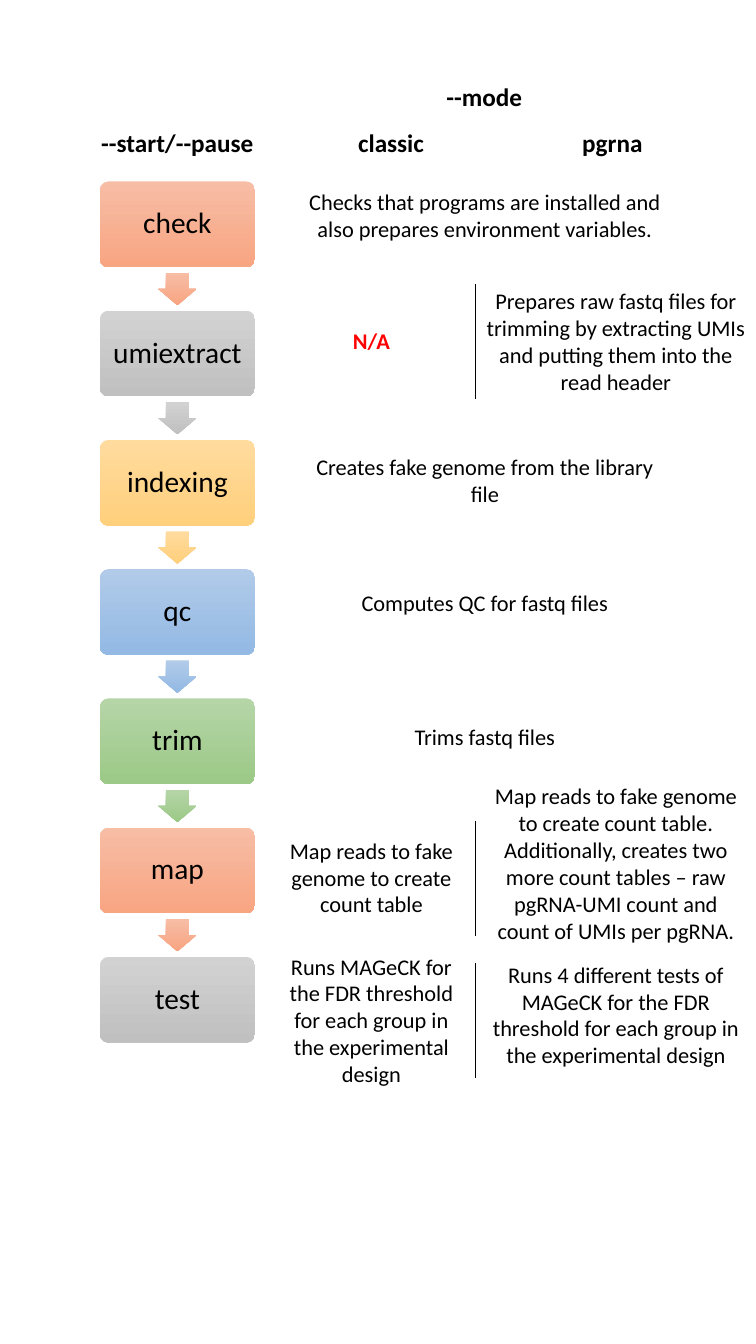
from lxml import etree
from pptx import Presentation
from pptx.dml.color import RGBColor
from pptx.enum.shapes import MSO_CONNECTOR, MSO_SHAPE
from pptx.enum.text import MSO_ANCHOR, MSO_AUTO_SIZE, PP_ALIGN
from pptx.oxml.ns import qn
from pptx.util import Inches, Pt

ROUNDED, DOWN_ARROW = MSO_SHAPE.ROUNDED_RECTANGLE, MSO_SHAPE.DOWN_ARROW
STRAIGHT = MSO_CONNECTOR.STRAIGHT
MIDDLE, CENTER = MSO_ANCHOR.MIDDLE, PP_ALIGN.CENTER
GROW = MSO_AUTO_SIZE.SHAPE_TO_FIT_TEXT

FONT = "Calibri"
COLORS = {
    "text": "000000", "missing": "FF0000",
    "coral top": "F7BDA5", "coral bottom": "F8A582",
    "gray top": "D2D2D2", "gray bottom": "C0C0C0",
    "yellow top": "FFDB9E", "yellow bottom": "FFD07C",
    "blue top": "B1CBE9", "blue bottom": "93B9E4",
    "green top": "B5D5A7", "green bottom": "9CC987",
}
STEPS = [("check", "coral"), ("umiextract", "gray"), ("indexing", "yellow"),
         ("qc", "blue"), ("trim", "green"), ("map", "coral"), ("test", "gray")]
STEP_HEIGHT = 0.85
ARROW_WIDTH, ARROW_HEIGHT = 0.38, 0.32

# text, left, top, width
HEADINGS = [("--mode", 4.33, 0.76, 0.95), ("--start/--pause", 0.89, 1.21, 1.74),
            ("classic", 3.45, 1.21, 0.86), ("pgrna", 5.67, 1.21, 0.81)]

# column: left, width
COLUMNS = {"both": (2.95, 3.72), "classic": (2.65, 2.07), "pgrna": (4.72, 2.78)}
# column, top, height, text
DESCRIPTIONS = [
    ("both", 1.82, 0.64, "Checks that programs are installed and also prepares "
                         "environment variables."),
    ("pgrna", 2.8, 1.18, "Prepares raw fastq files for trimming by extracting UMIs "
                         "and putting them into the read header"),
    ("both", 4.45, 0.64, "Creates fake genome from the library file"),
    ("both", 5.79, 0.37, "Computes QC for fastq files"),
    ("both", 7.12, 0.37, "Trims fastq files"),
    ("classic", 8.25, 0.91, "Map reads to fake genome to create count table"),
    ("pgrna", 7.71, 1.72, "Map reads to fake genome to create count table. "
                          "Additionally, creates two more count tables – raw "
                          "pgRNA-UMI count and count of UMIs per pgRNA."),
    ("classic", 9.4, 1.45, "Runs MAGeCK for the FDR threshold for each group in the "
                           "experimental design"),
    ("pgrna", 9.48, 1.18, "Runs 4 different tests of MAGeCK for the FDR threshold "
                          "for each group in the experimental design"),
]
DIVIDER_TOPS = [2.82, 8.14, 9.55]
DIVIDER_HEIGHT = 1.14


def color(name):
    return RGBColor.from_string(COLORS[name])


def write(shape, text, size, bold=False, ink="text"):
    paragraph = shape.text_frame.paragraphs[0]
    paragraph.alignment = CENTER
    run = paragraph.add_run()
    run.text = text
    for name, value in {"name": FONT, "size": Pt(size), "bold": bold}.items():
        setattr(run.font, name, value)
    run.font.color.rgb = color(ink)


def add_text(slide, text, box, size=16, wrap=True, **style):
    shape = slide.shapes.add_textbox(*map(Inches, box))
    shape.text_frame.word_wrap = wrap
    shape.text_frame.auto_size = GROW
    write(shape, text, size, **style)


def add_gradient_shape(slide, kind, box, hue, adjustments):
    shape = slide.shapes.add_shape(kind, *map(Inches, box))
    shape.shadow.inherit = False
    shape.line.fill.background()
    shape.fill.gradient()
    shape.fill.gradient_angle = 270
    for stop, end in zip(shape.fill.gradient_stops, ("top", "bottom")):
        stop.color.rgb = color(f"{hue} {end}")
    for index, value in enumerate(adjustments):
        shape.adjustments[index] = value
    return shape


def add_flow(slide, left, top, width, height):
    """Stack the pipeline steps evenly, with an arrow in each gap."""
    pitch = (height - STEP_HEIGHT) / (len(STEPS) - 1)
    gap = pitch - STEP_HEIGHT
    for index, (name, hue) in enumerate(STEPS):
        step_top = top + index * pitch
        step = add_gradient_shape(slide, ROUNDED, (left, step_top, width, STEP_HEIGHT),
                                  hue, [0.1])
        frame = step.text_frame
        for side in ("left", "top", "right", "bottom"):
            setattr(frame, f"margin_{side}", Inches(0.09))
        frame.word_wrap = True
        frame.vertical_anchor = MIDDLE
        frame.paragraphs[0].line_spacing = 0.9
        write(step, name, 21)
        if index < len(STEPS) - 1:
            arrow_left = left + (width - ARROW_WIDTH) / 2
            arrow_top = step_top + STEP_HEIGHT + (gap - ARROW_HEIGHT) / 2
            add_gradient_shape(slide, DOWN_ARROW,
                               (arrow_left, arrow_top, ARROW_WIDTH, ARROW_HEIGHT),
                               hue, [0.6, 0.5])


def add_divider(slide, left, top, height):
    ends = (left, top, left, top + height)
    line = slide.shapes.add_connector(STRAIGHT, *map(Inches, ends))
    line.line.color.rgb = color("text")
    line.line.width = Pt(0.5)
    etree.SubElement(line._element.spPr, qn("a:effectLst"))


def add_headings(slide):
    for text, left, top, width in HEADINGS:
        add_text(slide, text, (left, top, width, 0.4), size=18, wrap=False, bold=True)


def add_descriptions(slide):
    for column, top, height, text in DESCRIPTIONS:
        left, width = COLUMNS[column]
        add_text(slide, text, (left, top, width, height))
    left, width = COLUMNS["classic"]
    add_text(slide, "N/A", (left, 3.2, width, 0.37), bold=True, ink="missing")
    for top in DIVIDER_TOPS:
        add_divider(slide, COLUMNS["pgrna"][0], top, DIVIDER_HEIGHT)


def main():
    presentation = Presentation()
    presentation.slide_width = Inches(7.5)
    presentation.slide_height = Inches(13.33)
    slide = presentation.slides.add_slide(presentation.slide_layouts[6])
    add_flow(slide, 0.99, 1.8, 1.54, 8.54)
    add_headings(slide)
    add_descriptions(slide)
    presentation.save("out.pptx")


if __name__ == "__main__":
    main()
